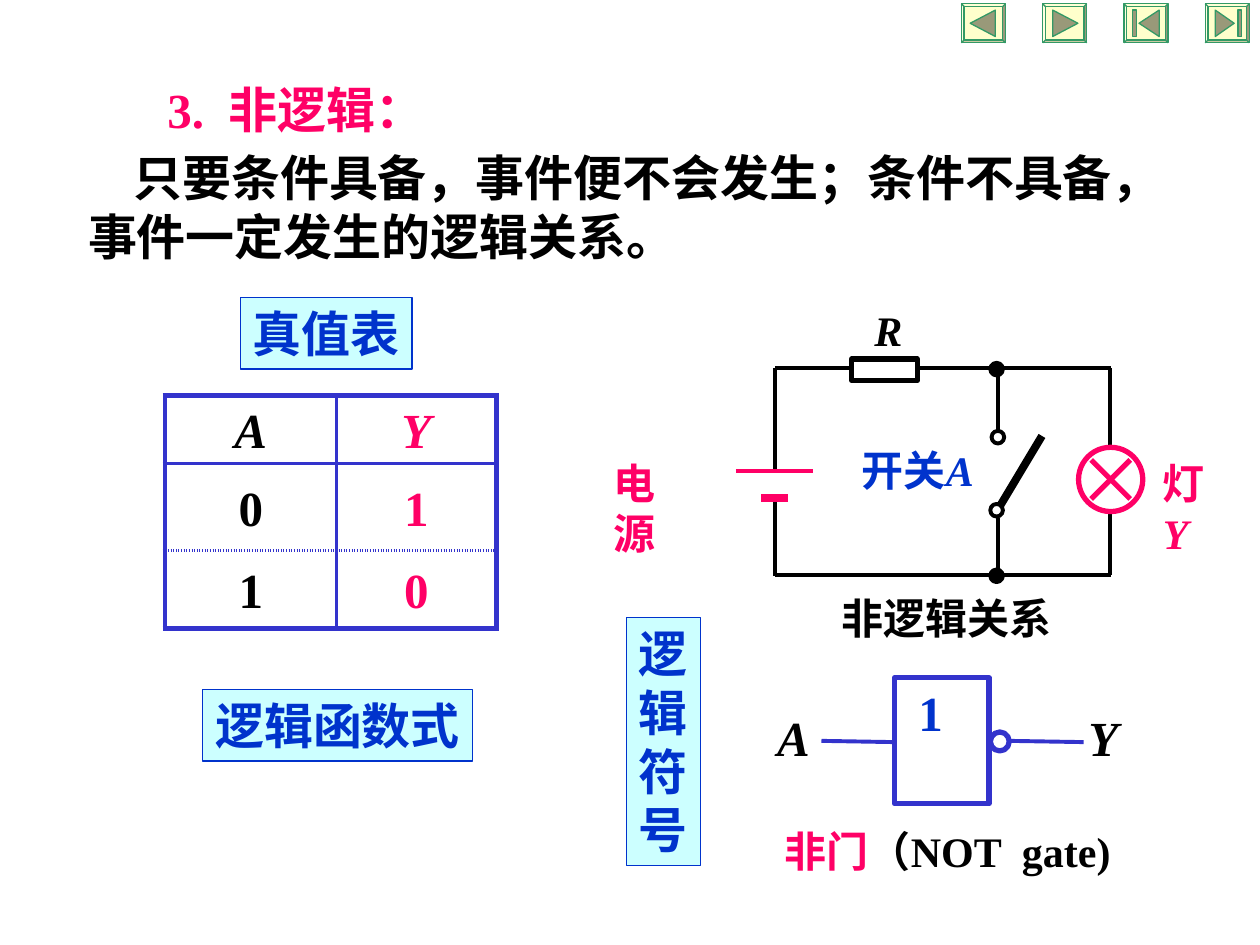
from lxml import etree
from pptx import Presentation, util as u
from pptx.dml.color import RGBColor
from pptx.enum import shapes, text
from pptx.oxml.ns import qn

C = {"pink": "FF0066", "blue": "0033CC", "black": "000000", "violet": "3333CC",
     "cyan": "CCFFFF", "cream": "FFFFCC", "green": "339966", "olive": "999979"}
TIMES, SANS = "Times New Roman", "Noto Sans CJK SC"
RECT, OVAL = shapes.MSO_SHAPE.RECTANGLE, shapes.MSO_SHAPE.OVAL

# left, top, width, height, inset, wrap, size, paragraphs of (text, color, font, italic)
TEXTS = [
    (1.23, 0.58, 2.34, 0.57, 0.1, True, 28, [[("3.  非逻辑：", "pink", TIMES, False)]]),
    (6.13, 6.5, 3.11, 0.5, 0.1, True, 24,
     [[("非门", "pink", TIMES, False), ("（NOT  gate)", "black", TIMES, False)]]),
    (6.68, 4.7, 2.7, 0.4, 0, True, 24, [[("非逻辑关系", "black", SANS, False)]]),
    (6.07, 5.57, 0.46, 0.57, 0.1, False, 28, [[("A", "black", TIMES, True)]]),
    (8.54, 5.57, 0.44, 0.57, 0.1, False, 28, [[("Y", "black", TIMES, True)]]),
    (7.19, 5.37, 0.39, 0.57, 0.1, False, 28, [[("1", "blue", TIMES, False)]]),
    (6.84, 3.53, 0.97, 0.4, 0, False, 24,
     [[("开关", "blue", SANS, False), ("A", "blue", TIMES, True)]]),
    (9.23, 3.63, 0.5, 0.8, 0, True, 24,
     [[("灯", "pink", SANS, False), ("Y", "pink", TIMES, True)]]),
    (4.77, 3.58, 0.86, 0.5, 0.1, False, 24, [[("电源", "pink", TIMES, False)]]),
    (6.84, 2.37, 0.42, 0.5, 0.1, False, 24, [[("R", "black", TIMES, True)]]),
]
DEFINITION = (0.6, 1.12, 8.71, 1.04, 0.1, False, 28, [
    [("只要条件具备，事件便不会发生；条件不具备，", "black", SANS, False)],
    [("事件一定发生的逻辑关系。", "black", SANS, False)]])
LABELS = [
    (1.91, 2.36, 1.36, 0.57, ["真值表"]),
    (1.61, 5.47, 2.14, 0.57, ["逻辑函数式"]),
    (4.97, 4.9, 0.59, 1.97, ["逻", "辑", "符", "号"]),
]
TRUTH = [("A", "Y"), ("0", "1"), ("1", "0")]
COL_WIDTHS, ROW_HEIGHTS = (1.36, 1.27), (0.54, 0.69, 0.62)

# color, width, segments
WIRES = [
    ("black", 2.25, [
        (8.81, 3.54, 8.81, 2.92), (6.75, 2.92, 6.15, 2.92), (6.15, 2.92, 6.15, 3.74),
        (6.15, 3.96, 6.15, 4.57), (6.15, 4.56, 8.82, 4.56), (8.81, 4.56, 8.81, 4.07),
        (7.29, 2.92, 8.82, 2.92), (7.92, 2.93, 7.92, 3.41), (7.92, 4.11, 7.92, 4.6)]),
    ("black", 4.5, [(7.94, 4.01, 8.27, 3.46)]),
    ("pink", 2.25, [(5.84, 3.74, 6.45, 3.74)]),
    ("pink", 4.5, [(6.04, 3.95, 6.25, 3.95)]),
    ("pink", 3, [(8.66, 3.65, 8.97, 3.96), (8.97, 3.65, 8.66, 3.96)]),
    ("violet", 2.25, [(6.52, 5.88, 7.1, 5.89), (8.01, 5.88, 8.6, 5.89)]),
]
# shape, left, top, width, height, line color, line width, fill
PARTS = [
    (RECT, 7.1, 5.38, 0.75, 1, "violet", 3, None),
    (OVAL, 7.86, 5.81, 0.15, 0.15, "violet", 3, None),
    (RECT, 6.76, 2.85, 0.52, 0.17, "black", 3, None),
    (OVAL, 8.56, 3.55, 0.51, 0.51, "pink", 3, None),
    (OVAL, 7.86, 2.88, 0.1, 0.1, "black", 2.25, "black"),
    (OVAL, 7.86, 4.52, 0.1, 0.1, "black", 2.25, "black"),
    (OVAL, 7.87, 3.42, 0.1, 0.1, "black", 2.25, None),
    (OVAL, 7.86, 4, 0.1, 0.1, "black", 2.25, None),
]
# tip x, base x, bar x, measured from the left of each button
BUTTONS = [(0.07, 0.27, None), (0.28, 0.08, None), (0.12, 0.28, 0.07), (0.23, 0.08, 0.26)]
BUTTON_LEFT, BUTTON_STEP, BUTTON_TOP = 7.63, 0.645, 0.03

prs = Presentation()
prs.slide_width, prs.slide_height = u.Inches(10), u.Inches(7.5)
s = prs.slides.add_slide(prs.slide_layouts[6])


def rgb(name):
    return RGBColor.from_string(C[name])


def inches(*values):
    return [u.Inches(v) for v in values]


def style(sp, line, width, fill=None):
    sp.shadow.inherit = False
    sp.line.color.rgb = rgb(line)
    sp.line.width = u.Pt(width)
    if fill:
        sp.fill.solid()
        sp.fill.fore_color.rgb = rgb(fill)
    else:
        sp.fill.background()
    return sp


def write(tf, paragraphs, size, inset, wrap, align=text.PP_ALIGN.LEFT):
    tf.word_wrap = wrap
    tf.margin_left = tf.margin_right = u.Inches(inset)
    tf.margin_top = tf.margin_bottom = u.Inches(inset / 2)
    tf.vertical_anchor = text.MSO_ANCHOR.TOP
    for i, runs in enumerate(paragraphs):
        p = tf.add_paragraph() if i else tf.paragraphs[0]
        p.alignment = align
        p.line_spacing = u.Pt(round(size * 1.2, 1))
        for words, color, font, italic in runs:
            r = p.add_run()
            r.text = words
            r.font.name, r.font.size = font, u.Pt(size)
            r.font.bold, r.font.italic = True, italic
            r.font.color.rgb = rgb(color)
            etree.SubElement(r.font._element, qn("a:ea")).set("typeface", SANS)


def add_text(x, y, w, h, inset, wrap, size, paragraphs):
    tf = s.shapes.add_textbox(*inches(x, y, w, h)).text_frame
    write(tf, paragraphs, size, inset, wrap)
    return tf


def add_outline(points):
    fb = s.shapes.build_freeform(*inches(*points[0]))
    fb.add_line_segments([inches(*pt) for pt in points[1:]], close=True)
    return style(fb.convert_to_shape(), "green", 0.75, "olive")


def border(cell, side, width, dash="solid"):
    ln = etree.SubElement(cell._tc.get_or_add_tcPr(), qn("a:" + side), w=str(u.Pt(width)))
    fill = etree.SubElement(ln, qn("a:solidFill"))
    etree.SubElement(fill, qn("a:srgbClr"), val=C["violet"])
    etree.SubElement(ln, qn("a:prstDash"), val=dash)


def add_truth_table():
    frame = s.shapes.add_table(3, 2, *inches(1.31, 3.14, sum(COL_WIDTHS), sum(ROW_HEIGHTS)))
    table = frame.table
    table.first_row = table.horz_banding = False
    for column, w in zip(table.columns, COL_WIDTHS):
        column.width = u.Inches(w)
    edges = [(3, "solid"), (2.25, "solid"), (2.25, "sysDot"), (3, "solid")]
    for i, values in enumerate(TRUTH):
        table.rows[i].height = u.Inches(ROW_HEIGHTS[i])
        for j, value in enumerate(values):
            cell = table.cell(i, j)
            run = (value, ("black", "pink")[j], TIMES, i == 0)
            write(cell.text_frame, [[run]], 28, 0, True, text.PP_ALIGN.CENTER)
            cell.margin_left = cell.margin_right = cell.margin_top = cell.margin_bottom = 0
            cell.vertical_anchor = text.MSO_ANCHOR.MIDDLE
            border(cell, "lnL", (3, 2.25)[j])
            border(cell, "lnR", (2.25, 3)[j])
            border(cell, "lnT", *edges[i])
            border(cell, "lnB", *edges[i + 1])
            cell.fill.background()


add_text(*DEFINITION).paragraphs[0]._p.get_or_add_pPr().set("indent", str(u.Inches(0.36)))
for x, y, w, h, lines in LABELS:
    sp = style(s.shapes.add_shape(RECT, *inches(x, y, w, h)), "blue", 0.75, "cyan")
    write(sp.text_frame, [[(t, "blue", TIMES, False)] for t in lines], 28, 0.1, False)
add_truth_table()

for color, width, segments in WIRES:
    for ends in segments:
        cx = s.shapes.add_connector(shapes.MSO_CONNECTOR.STRAIGHT, *inches(*ends))
        cx.line.color.rgb = rgb(color)
        cx.line.width = u.Pt(width)
        etree.SubElement(cx._element.spPr, qn("a:effectLst"))
for kind, x, y, w, h, line, width, fill in PARTS:
    style(s.shapes.add_shape(kind, *inches(x, y, w, h)), line, width, fill)
for item in TEXTS:
    add_text(*item)

for i, (tip, base, bar) in enumerate(BUTTONS):
    x = BUTTON_LEFT + i * BUTTON_STEP
    top, bottom = BUTTON_TOP + 0.05, BUTTON_TOP + 0.26
    sp = s.shapes.add_shape(shapes.MSO_SHAPE.BEVEL, *inches(x, BUTTON_TOP, 0.35, 0.31))
    sp.adjustments[0] = 0.07
    style(sp, "green", 0.75, "cream")
    add_outline([(x + tip, (top + bottom) / 2), (x + base, top), (x + base, bottom)])
    if bar:
        add_outline([(x + bar, top), (x + bar + 0.03, top),
                     (x + bar + 0.03, bottom), (x + bar, bottom)])

prs.save("out.pptx")
